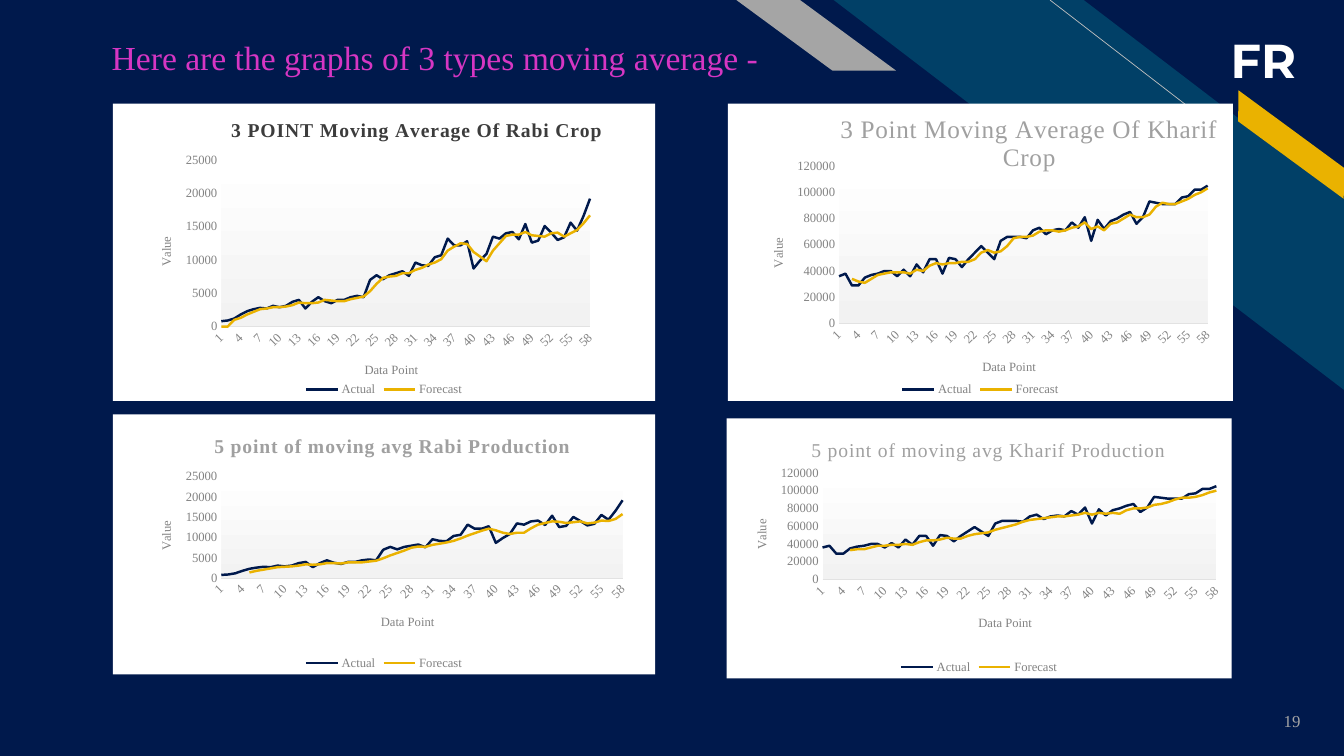
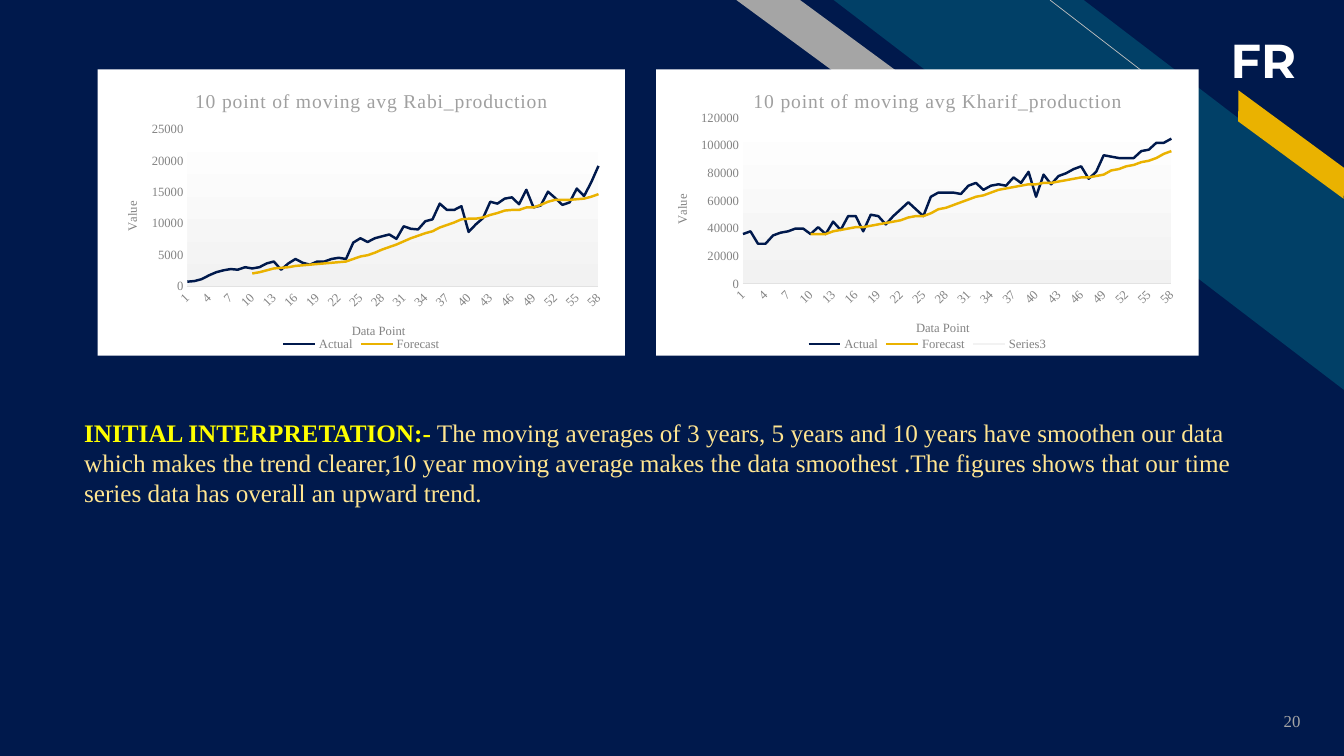
from pptx import Presentation
from pptx.chart.data import CategoryChartData
from pptx.dml.color import RGBColor
from pptx.enum.chart import XL_CHART_TYPE, XL_LEGEND_POSITION, XL_TICK_MARK
from pptx.enum.shapes import MSO_CONNECTOR, MSO_SHAPE
from pptx.enum.text import MSO_ANCHOR, PP_ALIGN
from pptx.oxml import parse_xml
from pptx.oxml.ns import nsdecls, qn
from pptx.util import Pt

COLORS = {
    "navy": "00194C", "teal": "014067", "gold": "EAB200", "gray": "A5A5A5",
    "hairline": "BFBFBF", "white": "FFFFFF", "magenta": "D636C3",
    "yellow": "FFFF00", "cream": "FFE591", "dark": "3C3C3C", "label": "828282",
    "chart_title": "A0A0A0", "axis": "E2E2E2", "pale": "F2F2F2",
}
SERIF = "Times New Roman"
WIDTH, HEIGHT = 960, 540

# Crop production: rabi in hundreds, kharif in thousands
UNIT = {"rabi": 100, "kharif": 1000}
AXIS_MAX = {"rabi": 25000, "kharif": 120000}
AXIS_STEP = {"rabi": 5000, "kharif": 20000}
VALUE_TITLE_OFFSET = {"rabi": 47, "kharif": 51}
ACTUAL = {
    "rabi": [8, 9, 12, 18, 23, 26, 28, 27, 31, 29, 31, 37, 40, 27, 37, 44, 38, 35, 40, 40,
             44, 46, 44, 70, 77, 71, 77, 80, 83, 76, 96, 92, 91, 104, 107, 132, 122, 122,
             128, 87, 99, 109, 135, 132, 140, 142, 131, 154, 126, 129, 151, 141, 130, 134,
             156, 144, 166, 192],
    "kharif": [36, 38, 29, 29, 35, 37, 38, 40, 40, 36, 41, 36, 45, 39, 49, 49, 38, 50, 49,
               43, 49, 54, 59, 54, 49, 63, 66, 66, 66, 65, 71, 73, 68, 71, 72, 71, 77, 73,
               81, 63, 79, 72, 78, 80, 83, 85, 76, 81, 93, 92, 91, 91, 91, 96, 97, 102,
               102, 105],
}


def rgb(name):
    return RGBColor.from_string(COLORS[name])


def moving_average(values, points):
    """Mean of each value and those before it; blank until enough values exist."""
    means = [round(sum(values[end - points:end]) / points)
             for end in range(points, len(values) + 1)]
    return [None] * (points - 1) + means


def scaled(values, unit):
    return [None if value is None else value * unit for value in values]


def chart_xml(tag, content="", attributes=""):
    return parse_xml(f"<c:{tag} {nsdecls('c', 'a')} {attributes}>{content}</c:{tag}>")


def manual_layout(x, y, size=None):
    values = {"xMode": "edge", "yMode": "edge", "x": round(x, 4), "y": round(y, 4)}
    if size:
        values = {"layoutTarget": "inner", **values, "w": size[0], "h": size[1]}
    inner = "".join(f'<c:{key} val="{value}"/>' for key, value in values.items())
    return chart_xml("layout", f"<c:manualLayout>{inner}</c:manualLayout>")


def drop(parent, tag):
    for old in parent.findall(qn(tag)):
        parent.remove(old)


class Deck:
    def __init__(self):
        self.prs = Presentation()
        self.prs.slide_width, self.prs.slide_height = Pt(WIDTH), Pt(HEIGHT)
        self.slide = None

    def style_run(self, run, size, color, bold=False, font=SERIF):
        run.font.name, run.font.size, run.font.bold = font, Pt(size), bold
        run.font.color.rgb = rgb(color)

    def text(self, box, runs, size, align=PP_ALIGN.LEFT, anchor=MSO_ANCHOR.TOP,
             font=SERIF, wrap=True):
        frame = self.slide.shapes.add_textbox(*map(Pt, box)).text_frame
        frame.word_wrap, frame.vertical_anchor = wrap, anchor
        paragraph = frame.paragraphs[0]
        paragraph.alignment = align
        for words, color, bold in runs:
            run = paragraph.add_run()
            run.text = words
            self.style_run(run, size, color, bold, font)

    def shape(self, preset, box, color, adjust=None, rotation=0):
        band = self.slide.shapes.add_shape(preset, *map(Pt, box))
        band.shadow.inherit = False
        band.fill.solid()
        band.fill.fore_color.rgb = rgb(color)
        band.line.fill.background()
        if adjust is not None:
            band.adjustments[0] = adjust
            band._element.spPr.find(qn("a:xfrm")).set("flipH", "1")
        band.rotation = rotation

    def line(self, start, end, color, width):
        rule = self.slide.shapes.add_connector(
            MSO_CONNECTOR.STRAIGHT, *map(Pt, start + end))
        rule.line.color.rgb, rule.line.width = rgb(color), Pt(width)
        rule._element.spPr.append(parse_xml(f"<a:effectLst {nsdecls('a')}/>"))

    def new_slide(self, number):
        self.slide = self.prs.slides.add_slide(self.prs.slide_layouts[6])
        # Backdrop, initials and diagonal bands
        self.shape(MSO_SHAPE.RECTANGLE, (0, 0, WIDTH, HEIGHT), "navy")
        self.text((872, 18.7, 64, 48), [("FR", "white", True)], 34,
                  font="Montserrat", wrap=False)
        self.shape(MSO_SHAPE.DIAGONAL_STRIPE, (595.5, 0, 364.5, 278.5), "teal", 0.51)
        self.line((848, 75.6), (750, 0), "hairline", 0.5)
        self.shape(MSO_SHAPE.PARALLELOGRAM, (869, 94.3, 106.5, 18), "gold", 0.72, 36.3)
        self.shape(MSO_SHAPE.PARALLELOGRAM, (526, 0, 114, 50.4), "gray", 1.36)
        # Page number
        self.text((877.5, 500.4, 58.5, 29), [(str(number), "gray", False)], 12,
                  PP_ALIGN.RIGHT, MSO_ANCHOR.MIDDLE)

    def chart_heading(self, owner, words, x, y, size, color, bold=False, spacing=0,
                      rotation=0):
        frame = owner.text_frame
        run = frame.paragraphs[0].add_run()
        run.text = words
        self.style_run(run, size, color, bold)
        run._r.get_or_add_rPr().set("spc", str(spacing))
        frame._txBody.find(qn("a:bodyPr")).set("rot", str(rotation * 60000))
        heading = owner._element
        drop(heading, "c:layout")
        heading.find(qn("c:tx")).addnext(manual_layout(x, y))

    def small_label(self, font):
        font.size, font.name, font.color.rgb = Pt(9), SERIF, rgb("label")

    def style_axis(self, axis):
        axis.has_major_gridlines = False
        axis.major_tick_mark = axis.minor_tick_mark = XL_TICK_MARK.NONE
        self.small_label(axis.tick_labels.font)

    def average_chart(self, box, crop, points, title, title_at, plot, size=14,
                      title_color="chart_title", bold=False, blanks="gap", extra=None):
        # Series
        actual = ACTUAL[crop]
        data = CategoryChartData()
        data.categories = [str(n + 1) for n in range(len(actual))]
        data.add_series("Actual", scaled(actual, UNIT[crop]))
        data.add_series("Forecast", scaled(moving_average(actual, points), UNIT[crop]))
        if extra:
            data.add_series(extra, [0])
        chart = self.slide.shapes.add_chart(XL_CHART_TYPE.LINE, *map(Pt, box), data).chart
        chart.font.name, chart.font.size = SERIF, Pt(10)
        chart.plots[0].vary_by_categories = False
        for series, color in zip(chart.plots[0].series, ("navy", "gold", "pale")):
            series.smooth = False
            series.format.line.color.rgb = rgb(color)
            series.format.line.width = Pt(1.75)
        # Axes
        periods, values = chart.category_axis, chart.value_axis
        self.style_axis(periods)
        self.style_axis(values)
        periods.format.line.color.rgb, periods.format.line.width = rgb("axis"), Pt(0.75)
        values.format.line.fill.background()
        values.minimum_scale, values.maximum_scale = 0, AXIS_MAX[crop]
        values.major_unit = AXIS_STEP[crop]
        category = periods._element
        category.find(qn("c:txPr")).find(qn("a:bodyPr")).set("rot", "-2700000")
        category.find(qn("c:noMultiLvlLbl")).addprevious(
            chart_xml("tickLblSkip", attributes='val="3"'))
        drop(values._element, "c:crossBetween")
        values._element.find(qn("c:crosses")).addnext(
            chart_xml("crossBetween", attributes='val="midCat"'))
        # Headings, placed from the plot edges
        _, _, width, height = box
        left, top, plot_width, plot_height = plot
        chart.has_title = True
        self.chart_heading(chart.chart_title, title, title_at[0] / width,
                           title_at[1] / height, size, title_color, bold, 50)
        self.chart_heading(periods.axis_title, "Data Point",
                           left + plot_width / 2 - 31 / width,
                           top + plot_height + 23.5 / height, 9, "label")
        self.chart_heading(values.axis_title, "Value",
                           left - VALUE_TITLE_OFFSET[crop] / width,
                           top + plot_height / 2 - 6.5 / height, 9, "label", rotation=-90)
        # Legend
        chart.has_legend = True
        chart.legend.position = XL_LEGEND_POSITION.BOTTOM
        chart.legend.include_in_layout = False
        self.small_label(chart.legend.font)
        # Plot position, gradient and white card
        body = chart._chartSpace.find(qn("c:chart"))
        area = body.find(qn("c:plotArea"))
        drop(area, "c:layout")
        area.insert(0, manual_layout(left, top, (plot_width, plot_height)))
        stops = "".join(f'<a:gs pos="{pos}"><a:srgbClr val="{COLORS[color]}"/></a:gs>'
                        for pos, color in ((0, "white"), (100000, "pale")))
        area.append(chart_xml("spPr", f"<a:gradFill><a:gsLst>{stops}</a:gsLst>"
                                      '<a:lin ang="5400000" scaled="0"/></a:gradFill>'))
        body.addnext(chart_xml("spPr", f'<a:solidFill><a:srgbClr val="{COLORS["white"]}"/>'
                                       "</a:solidFill><a:ln><a:noFill/></a:ln>"))
        drop(body, "c:dispBlanksAs")
        body.find(qn("c:plotVisOnly")).addnext(
            chart_xml("dispBlanksAs", attributes=f'val="{blanks}"'))


def main():
    deck = Deck()

    # Three and five point averages
    deck.new_slide(19)
    deck.text((72.7, 23, 633.6, 36),
              [("Here are the graphs of 3 types moving average -", "magenta", False)], 24)
    deck.average_chart((80.6, 74, 387.4, 212.4), "rabi", 3,
                       "3 POINT Moving Average Of Rabi Crop", (82, 7),
                       (0.2, 0.19, 0.68, 0.56), title_color="dark", bold=True,
                       blanks="zero")
    deck.average_chart((520, 74, 360.7, 212.4), "kharif", 3,
                       "3 Point Moving Average Of Kharif Crop", (77, 4),
                       (0.22, 0.21, 0.73, 0.53), size=18)
    deck.average_chart((80.6, 296, 387.4, 185.8), "rabi", 5,
                       "5 point of moving avg Rabi Production", (70, 11),
                       (0.2, 0.24, 0.74, 0.39), bold=True)
    deck.average_chart((519, 298.8, 360.7, 185.8), "kharif", 5,
                       "5 point of moving avg Kharif Production", (58, 11),
                       (0.19, 0.21, 0.78, 0.41))

    # Ten point averages and interpretation
    deck.new_slide(20)
    deck.average_chart((69.8, 49.5, 376.6, 204.5), "rabi", 10,
                       "10 point of moving avg Rabi_production", (67, 11),
                       (0.17, 0.21, 0.78, 0.55))
    deck.average_chart((468.7, 49.5, 387.4, 204.5), "kharif", 10,
                       "10 point of moving avg Kharif_production", (67, 11),
                       (0.16, 0.17, 0.79, 0.58), extra="Series3")
    deck.text((53, 294.5, 854, 72.7), [
        ("INITIAL INTERPRETATION:-", "yellow", True),
        (" The moving averages of 3 years, 5 years and 10 years have smoothen our data "
         "which makes the trend clearer,10 year moving average makes the data smoothest "
         ".The figures shows that our time series data has overall an upward trend.",
         "cream", False)], 18)

    deck.prs.save("out.pptx")


if __name__ == "__main__":
    main()
